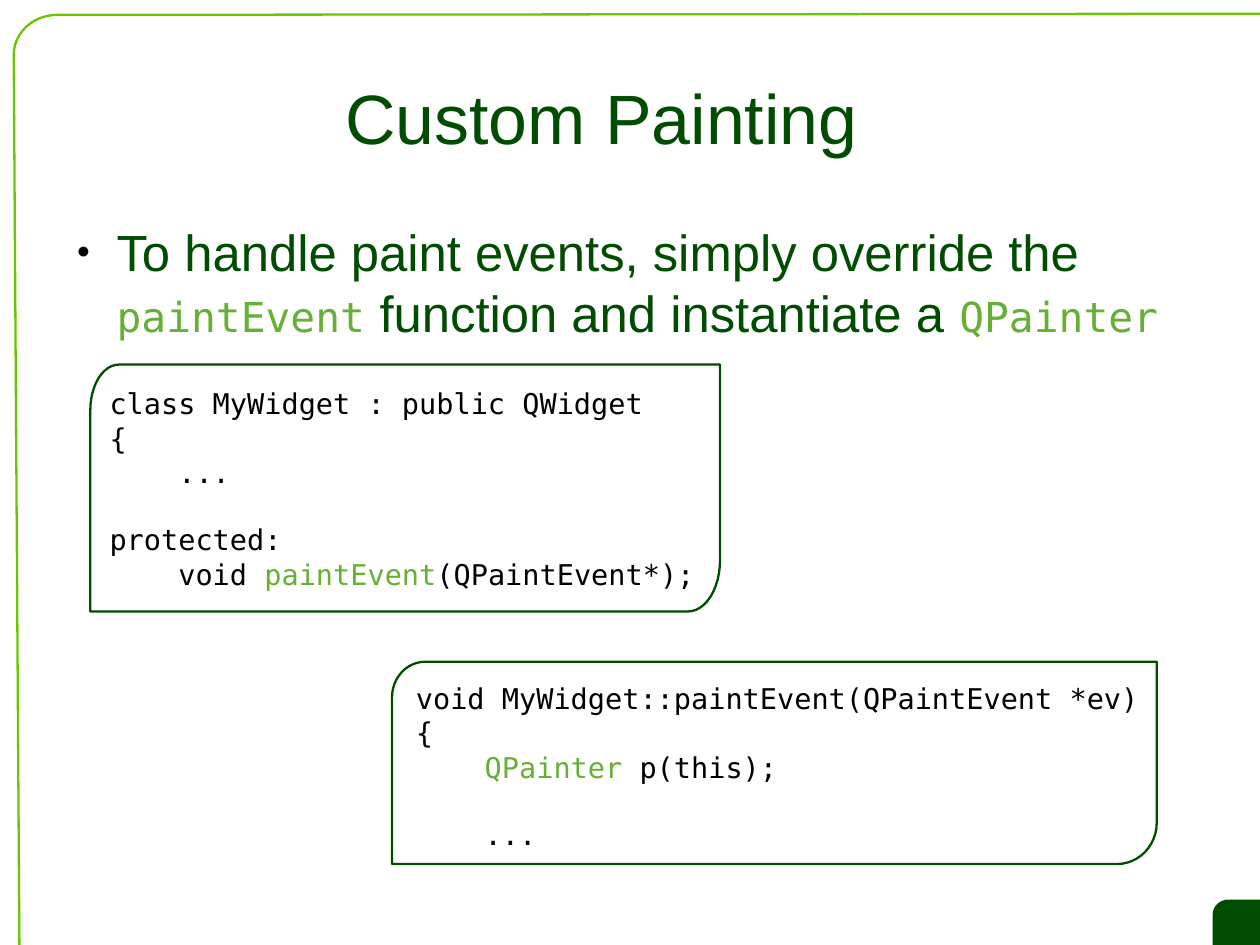
from math import cos, radians, sin

from lxml import etree
from pptx import Presentation
from pptx.dml.color import RGBColor
from pptx.enum.text import MSO_ANCHOR, MSO_AUTO_SIZE, PP_ALIGN
from pptx.oxml.ns import qn
from pptx.util import Cm, Inches, Pt

MIDDLE, TOP = MSO_ANCHOR.MIDDLE, MSO_ANCHOR.TOP
CENTER, LEFT = PP_ALIGN.CENTER, PP_ALIGN.LEFT
FIXED = MSO_AUTO_SIZE.NONE

# Content
PAGE_WIDTH, PAGE_HEIGHT = Cm(28), Cm(21)
SANS, MONO = "Arial", "DejaVu Sans Mono"
DARK, LIME, ACCENT, BLACK = "004C00", "6DC400", "66B036", "000000"

TITLE = "Custom Painting"
SENTENCE = [
    ("To handle paint events, simply override the ", 32, SANS, DARK),
    ("paintEvent", 26, MONO, ACCENT),
    (" function and instantiate a ", 32, SANS, DARK),
    ("QPainter", 26, MONO, ACCENT),
]
CODE_SIZE, CODE_LINE = 18, 21

# Each line is a list of (text, colour); an empty line is a one-line gap
DECLARATION = [
    [("class MyWidget : public QWidget", BLACK)],
    [("{", BLACK)],
    [("    ...", BLACK)],
    [],
    [("protected:", BLACK)],
    [("    void ", BLACK), ("paintEvent", ACCENT), ("(QPaintEvent*);", BLACK)],
]
DEFINITION = [
    [("void MyWidget::paintEvent(QPaintEvent *ev)", BLACK)],
    [("{", BLACK)],
    [("    ", BLACK), ("QPainter", ACCENT), (" p(this);", BLACK)],
    [],
    [("    ...", BLACK)],
]
# Code, text box, outline box, top-left radii, bottom-right radii
PANELS = [
    (DECLARATION, (0.86, 3.33, 5.32, 2.13), (0.79, 3.19, 5.51, 2.16),
     (0.25, 0.4), (0.28, 0.45)),
    (DEFINITION, (3.54, 5.91, 6.52, 1.55), (3.43, 5.79, 6.69, 1.77),
     (0.29, 0.31), (0.35, 0.36)),
]


def color(value):
    return RGBColor.from_string(value)


def corner(cx, cy, radii, start):
    """Points of a quarter ellipse, clockwise from the start angle."""
    angles = [radians(start + 90 * step / 12) for step in range(13)]
    return [(cx + radii[0] * cos(a), cy + radii[1] * sin(a)) for a in angles]


def draw_outline(points, closed=True, fill=None, line=None):
    points = [(Inches(x), Inches(y)) for x, y in points]
    builder = slide.shapes.build_freeform(*points[0])
    builder.add_line_segments(points[1:], close=closed)
    outline = builder.convert_to_shape()
    outline.shadow.inherit = False
    if fill:
        outline.fill.solid()
        outline.fill.fore_color.rgb = color(fill)
    else:
        outline.fill.background()
    if line:
        outline.line.color.rgb = color(line)
        outline.line.width = Pt(1.45)
    else:
        outline.line.fill.background()


def prepare_frame(frame, wrap, anchor, side=0, edge=0):
    frame.word_wrap = wrap
    frame.auto_size = FIXED
    frame.vertical_anchor = anchor
    frame.margin_left = frame.margin_right = Inches(side)
    frame.margin_top = frame.margin_bottom = Inches(edge)


def add_run(paragraph, text, size, face, shade):
    run = paragraph.add_run()
    run.text = text
    run.font.size = Pt(size)
    run.font.name = face
    run.font.color.rgb = color(shade)


def add_bullet(paragraph):
    properties = paragraph._p.get_or_add_pPr()
    properties.set("marL", str(Inches(0.47)))
    properties.set("indent", str(Inches(-0.35)))
    shade = etree.SubElement(properties, qn("a:buClr"))
    etree.SubElement(shade, qn("a:srgbClr"), val=BLACK)
    etree.SubElement(properties, qn("a:buSzPct"), val="45000")
    etree.SubElement(properties, qn("a:buFont"), typeface=SANS)
    etree.SubElement(properties, qn("a:buChar"), char="●")


deck = Presentation()
deck.slide_width, deck.slide_height = PAGE_WIDTH, PAGE_HEIGHT
slide = deck.slides.add_slide(deck.slide_layouts[5])
page_right, page_bottom = PAGE_WIDTH.inches, PAGE_HEIGHT.inches

# Page decoration: corner tab and rounded border running to the slide edges
draw_outline(corner(10.75, 8, (0.14, 0.13), 180)
             + [(page_right, 7.87), (page_right, page_bottom),
                (10.61, page_bottom)], fill=DARK)
draw_outline([(0.17, page_bottom)] + corner(0.5, 0.48, (0.38, 0.35), 180)
             + [(page_right, 0.12)], closed=False, line=LIME)

# Title
title = slide.shapes.title
title.left, title.top = Inches(1.68), Inches(0.33)
title.width, title.height = Inches(7.17), Inches(1.38)
prepare_frame(title.text_frame, True, MIDDLE)
heading = title.text_frame.paragraphs[0]
heading.alignment = CENTER
add_run(heading, TITLE, 44, SANS, DARK)

# Bulleted sentence
body = slide.shapes.add_textbox(*map(Inches, (0.55, 1.93, 9.92, 5.36))).text_frame
prepare_frame(body, True, TOP)
sentence = body.paragraphs[0]
add_bullet(sentence)
for part in SENTENCE:
    add_run(sentence, *part)

# Code panels
for code, text_box, (left, top, width, height), first, last in PANELS:
    right, bottom = left + width, top + height
    draw_outline(corner(left + first[0], top + first[1], first, 180)
                 + [(right, top)]
                 + corner(right - last[0], bottom - last[1], last, 0)
                 + [(left, bottom)], line=DARK)
    listing = slide.shapes.add_textbox(*map(Inches, text_box)).text_frame
    prepare_frame(listing, False, TOP, 0.1, 0.05)
    gap = 0
    for number, parts in enumerate(code):
        if not parts:
            gap += CODE_LINE
            continue
        row = listing.add_paragraph() if number else listing.paragraphs[0]
        row.alignment = LEFT
        if gap:
            row.space_before = Pt(gap)
            gap = 0
        for text, shade in parts:
            add_run(row, text, CODE_SIZE, MONO, shade)

deck.save("out.pptx")
